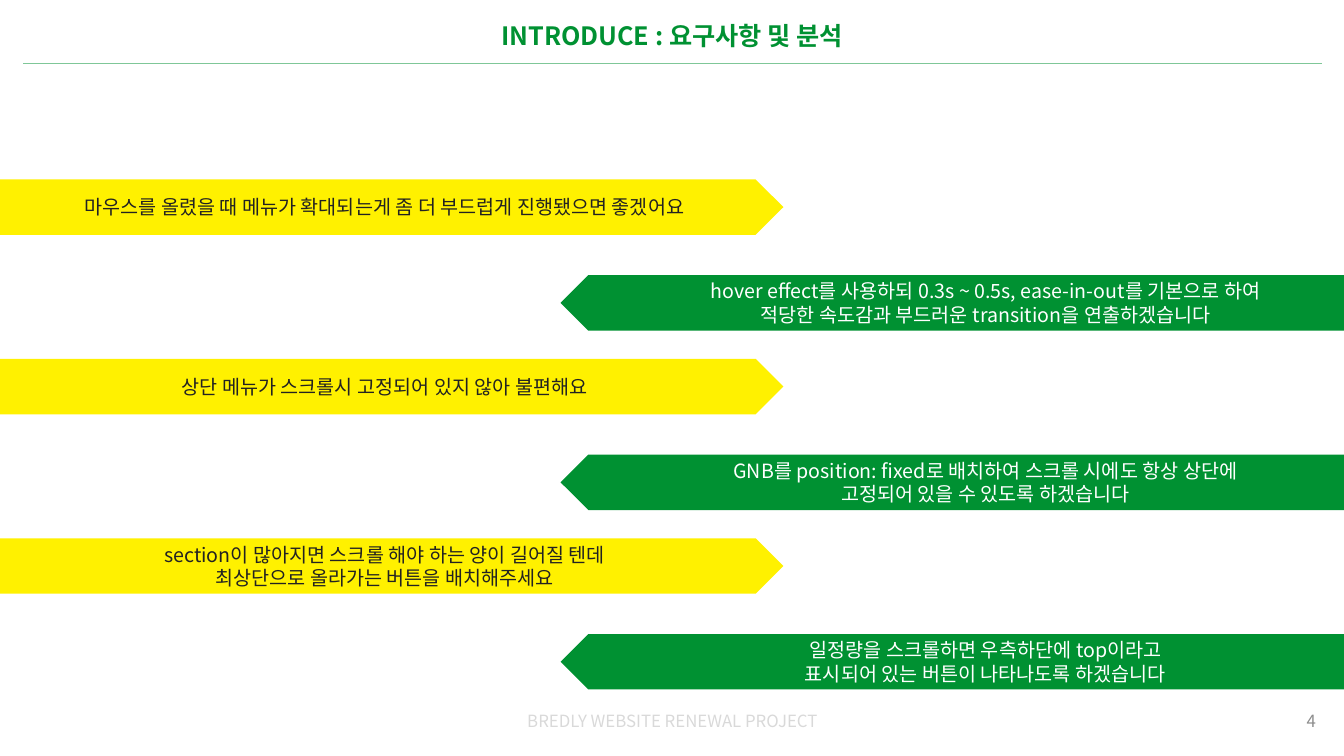
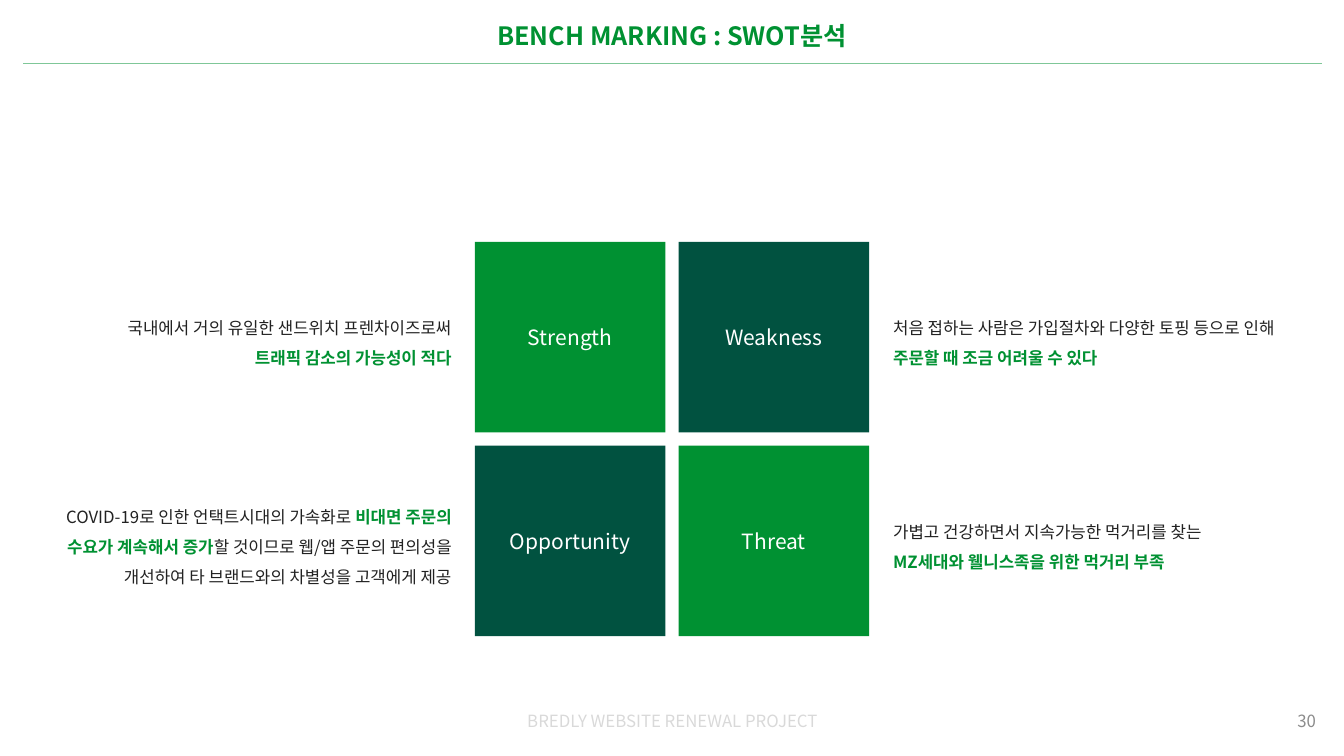
from typing import NamedTuple

from lxml.etree import SubElement as Sub
from pptx import Presentation
from pptx.dml.color import RGBColor as Rgb
from pptx.enum.shapes import MSO_CONNECTOR as Link, MSO_SHAPE as Form
from pptx.enum.text import MSO_ANCHOR as Anchor, PP_ALIGN as Align
from pptx.oxml.ns import qn
from pptx.util import Inches, Pt

FONT = "Noto Sans CJK KR"
GREEN, DARK, YELLOW = "009132", "015240", "FFF100"
INK, WHITE, PALE, GRAY = "222222", "FFFFFF", "D9D9D9", "8C8C8C"
WIDE = 13.33


class Box(NamedTuple):
    x: float
    y: float
    w: float
    h: float


class Style(NamedTuple):
    size: float
    tint: str
    align: Align = Align.CENTER
    bold: bool = False
    gap: float = 1.0


class Pair(NamedTuple):
    ask: str
    reply: str


class Part(NamedTuple):
    name: str
    fill: str
    col: int
    row: int
    note: str


TITLE = Style(18, GREEN, bold=True)
FOOT = Style(12, PALE)
PAGE = Style(12, GRAY, Align.RIGHT)
ASK = Style(14, INK)
REPLY = Style(14, WHITE)
NAME = Style(15, WHITE)
NOTES = [Style(12, INK, Align.RIGHT, gap=1.5), Style(12, INK, Align.LEFT, gap=1.5)]

PAIRS = [
    Pair("마우스를 올렸을 때 메뉴가 확대되는게 좀 더 부드럽게 진행됐으면 좋겠어요",
         "hover effect를 사용하되 0.3s ~ 0.5s, ease-in-out를 기본으로 하여\n"
         "적당한 속도감과 부드러운 transition을 연출하겠습니다"),
    Pair("상단 메뉴가 스크롤시 고정되어 있지 않아 불편해요",
         "GNB를 position: fixed로 배치하여 스크롤 시에도 항상 상단에\n"
         "고정되어 있을 수 있도록 하겠습니다"),
    Pair("section이 많아지면 스크롤 해야 하는 양이 길어질 텐데\n"
         "최상단으로 올라가는 버튼을 배치해주세요",
         "일정량을 스크롤하면 우측하단에 top이라고\n"
         "표시되어 있는 버튼이 나타나도록 하겠습니다"),
]

PARTS = [
    Part("Strength", GREEN, 0, 0,
         "국내에서 거의 유일한 샌드위치 프렌차이즈로써\n*트래픽 감소의 가능성이 적다*"),
    Part("Weakness", DARK, 1, 0,
         "처음 접하는 사람은 가입절차와 다양한 토핑 등으로 인해\n"
         "*주문할 때 조금 어려울 수 있다*"),
    Part("Opportunity", DARK, 0, 1,
         "COVID-19로 인한 언택트시대의 가속화로 *비대면 주문의*\n"
         "*수요가 계속해서 증가*할 것이므로 웹/앱 주문의 편의성을\n"
         "개선하여 타 브랜드와의 차별성을 고객에게 제공"),
    Part("Threat", GREEN, 1, 1,
         "가볍고 건강하면서 지속가능한 먹거리를 찾는\n"
         "*MZ세대와 웰니스족을 위한 먹거리 부족*"),
]


def color(tint: str) -> Rgb:
    return Rgb.from_string(tint)


def place(box: Box) -> list:
    return [Inches(v) for v in box]


def write(shape, text: str, style: Style, anchor=Anchor.MIDDLE) -> None:
    frame = shape.text_frame
    frame.word_wrap = True
    frame.vertical_anchor = anchor
    for i, line in enumerate(text.split("\n")):
        para = frame.add_paragraph() if i else frame.paragraphs[0]
        para.alignment = style.align
        para.line_spacing = style.gap
        for j, piece in enumerate(line.split("*")):
            if not piece:
                continue
            strong = j % 2 == 1
            run = para.add_run()
            run.text = piece
            font = run.font
            font.size = Pt(style.size)
            font.bold = style.bold or strong
            font.color.rgb = color(GREEN if strong else style.tint)
            font.name = FONT
            Sub(run._r.get_or_add_rPr(), qn("a:ea"), typeface=FONT)


def label(slide, box: Box, text: str, style: Style, anchor=Anchor.MIDDLE) -> None:
    write(slide.shapes.add_textbox(*place(box)), text, style, anchor)


def block(slide, form: Form, box: Box, fill: str):
    shape = slide.shapes.add_shape(form, *place(box))
    shape.shadow.inherit = False
    shape.fill.solid()
    shape.fill.fore_color.rgb = color(fill)
    shape.line.fill.background()
    return shape


def rule(slide) -> None:
    y = Inches(0.63)
    line = slide.shapes.add_connector(Link.STRAIGHT, Inches(0.23), y, Inches(13.11), y)
    line.line.width = Pt(0.5)
    line.line.color.rgb = color(GREEN)
    Sub(next(line._element.iter(qn("a:srgbClr"))), qn("a:alpha"), val="50000")
    Sub(line._element.spPr, qn("a:effectLst"))


def start(deck, title: str, page: int):
    slide = deck.slides.add_slide(deck.slide_layouts[6])
    rule(slide)
    label(slide, Box(4.42, 6.95, 4.5, 0.4), "BREDLY WEBSITE RENEWAL PROJECT", FOOT)
    label(slide, Box(10.15, 6.95, 3, 0.4), str(page), PAGE)
    label(slide, Box(1.39, 0.15, 10.55, 0.4), title, TITLE, Anchor.TOP)
    return slide


def needs(deck) -> None:
    slide = start(deck, "INTRODUCE : 요구사항 및 분석", 4)
    width, height, step = 7.77, 0.55, 1.78
    for i, pair in enumerate(PAIRS):
        top = step * (i + 1)
        ask = block(slide, Form.PENTAGON, Box(0, top, width, height), YELLOW)
        write(ask, pair.ask, ASK)
        low = top + 0.95
        reply = block(slide, Form.PENTAGON, Box(WIDE - width, low, width, height), GREEN)
        reply.rotation = 180
        label(slide, Box(6.82, low - 0.01, 5.91, 0.57), pair.reply, REPLY, Anchor.TOP)


def swot(deck) -> None:
    slide = start(deck, "BENCH MARKING : SWOT분석", 30)
    side, step = 1.89, 2.02
    for part in PARTS:
        x, y = 4.71 + part.col * step, 2.4 + part.row * step
        tile = block(slide, Form.RECTANGLE, Box(x, y, side, side), part.fill)
        write(tile, part.name, NAME)
        tall = 0.08 + 0.3 * (part.note.count("\n") + 1)
        left = (-0.06, 8.76)[part.col]
        note = Box(left, y + (side - tall) / 2, 4.64, tall)
        label(slide, note, part.note, NOTES[part.col], Anchor.TOP)


def main() -> None:
    deck = Presentation()
    deck.slide_width, deck.slide_height = Inches(WIDE), Inches(7.5)
    needs(deck)
    swot(deck)
    deck.save("out.pptx")


if __name__ == "__main__":
    main()
